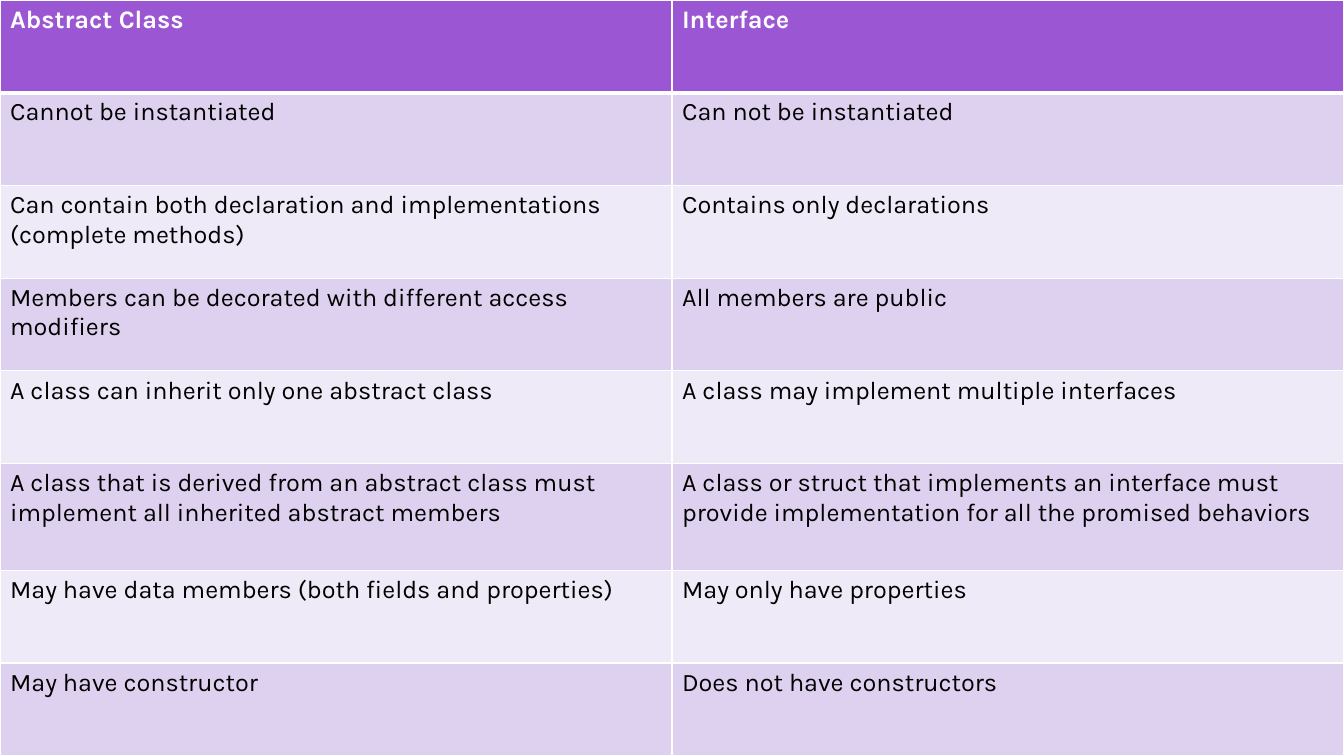
from lxml import etree
from pptx import Presentation
from pptx.dml.color import RGBColor
from pptx.oxml.ns import qn
from pptx.util import Inches, Pt

# Look
WHITE = RGBColor(0xFF, 0xFF, 0xFF)
BLACK = RGBColor(0x00, 0x00, 0x00)
PURPLE = RGBColor(0x9B, 0x57, 0xD3)
LILAC = RGBColor(0xDE, 0xD1, 0xEF)
PALE_LILAC = RGBColor(0xEF, 0xEA, 0xF7)
FONT = "Karla"
TEXT_SIZE = Pt(18)
THIN, THICK = Pt(1), Pt(3)

# Grid
PAGE_WIDTH, PAGE_HEIGHT = Inches(13.33), Inches(7.5)
TALL_ROW, TALL_HEIGHT = 5, Inches(1.06)

COMPARISON = [
    ("Abstract Class", "Interface"),
    ("Cannot be instantiated", "Can not be instantiated"),
    ("Can contain both declaration and implementations (complete methods)",
     "Contains only declarations"),
    ("Members can be decorated with different access modifiers",
     "All members are public"),
    ("A class can inherit only one abstract class",
     "A class may implement multiple interfaces"),
    ("A class that is derived from an abstract class must implement all "
     "inherited abstract members",
     "A class or struct that implements an interface must provide "
     "implementation for all the promised behaviors"),
    ("May have data members (both fields and properties)",
     "May only have properties"),
    ("May have constructor", "Does not have constructors"),
]


def set_borders(cell, top, bottom):
    """Draw white lines on all four sides of a cell."""
    properties = cell._tc.get_or_add_tcPr()
    sides = {"a:lnL": THIN, "a:lnR": THIN, "a:lnT": top, "a:lnB": bottom}
    for side, width in sides.items():
        line = etree.SubElement(properties, qn(side), w=str(width))
        fill = etree.SubElement(line, qn("a:solidFill"))
        etree.SubElement(fill, qn("a:srgbClr"), val=str(WHITE))


def fill_cell(cell, text, row):
    """Write and format one cell; row 0 is the header."""
    is_header = row == 0
    set_borders(cell, top=THICK if row == 1 else THIN,
                bottom=THICK if is_header else THIN)
    cell.fill.solid()
    if is_header:
        cell.fill.fore_color.rgb = PURPLE
    else:
        cell.fill.fore_color.rgb = LILAC if row % 2 else PALE_LILAC
    cell.text_frame.text = text
    font = cell.text_frame.paragraphs[0].runs[0].font
    font.name = FONT
    font.size = TEXT_SIZE
    font.bold = is_header
    font.color.rgb = WHITE if is_header else BLACK


def add_comparison(page, rows):
    """Add a table that covers the whole page."""
    column_count = len(rows[0])
    table = page.shapes.add_table(len(rows), column_count, 0, 0,
                                  PAGE_WIDTH, PAGE_HEIGHT).table
    for column in table.columns:
        column.width = PAGE_WIDTH // column_count
    row_height = (PAGE_HEIGHT - TALL_HEIGHT) // (len(rows) - 1)
    for row, texts in enumerate(rows):
        table.rows[row].height = TALL_HEIGHT if row == TALL_ROW else row_height
        for column, text in enumerate(texts):
            fill_cell(table.cell(row, column), text, row)


def main():
    deck = Presentation()
    deck.slide_width, deck.slide_height = PAGE_WIDTH, PAGE_HEIGHT
    blank_layout = deck.slide_layouts[6]
    page = deck.slides.add_slide(blank_layout)
    add_comparison(page, COMPARISON)
    deck.save("out.pptx")


if __name__ == "__main__":
    main()
